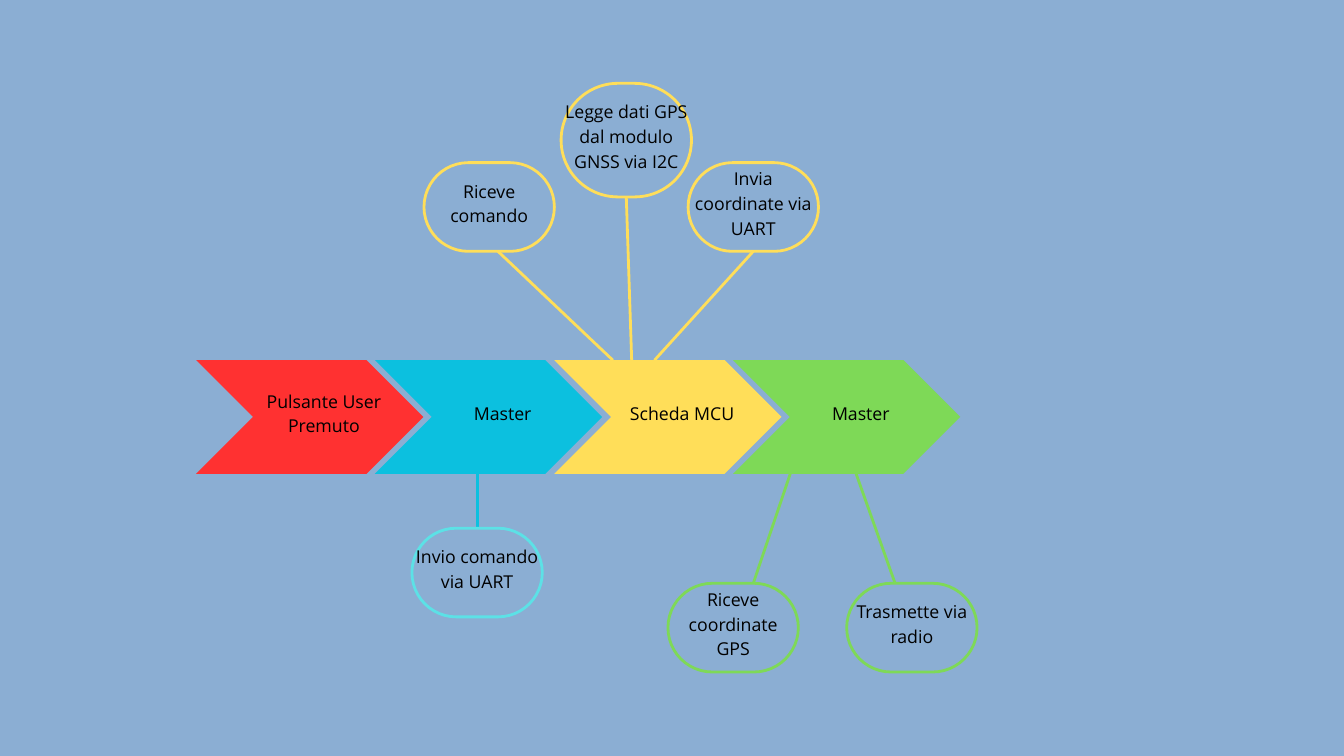
from lxml.etree import SubElement
from pptx import Presentation
from pptx.dml.color import RGBColor
from pptx.enum.shapes import MSO_CONNECTOR, MSO_SHAPE
from pptx.enum.text import MSO_ANCHOR, PP_ALIGN
from pptx.oxml.ns import qn
from pptx.util import Pt

PX = 9144  # 100 px to the inch
RED, CYAN, AQUA, YELLOW, GREEN = "FF3131", "0CC0DF", "5CE1E6", "FFDE59", "7ED957"
color = RGBColor.from_string

presentation = Presentation()
presentation.slide_width = 2000 * PX
presentation.slide_height = 1125 * PX
slide = presentation.slides.add_slide(presentation.slide_layouts[6])
slide.background.fill.solid()
slide.background.fill.fore_color.rgb = color("8BAED3")


def add_label(text, left, top, width, height, size=19, font="Open Sans", ink="000000"):
    box = slide.shapes.add_textbox(left * PX, top * PX, width * PX, height * PX)
    frame = box.text_frame
    frame.word_wrap = True
    frame.vertical_anchor = MSO_ANCHOR.MIDDLE
    frame.margin_left = frame.margin_right = 5 * PX
    frame.margin_top = frame.margin_bottom = 6 * PX
    paragraph = frame.paragraphs[0]
    paragraph.text = text
    paragraph.alignment = PP_ALIGN.CENTER
    paragraph.line_spacing = Pt(26.6)
    paragraph.font.size = Pt(size)
    paragraph.font.name = font
    paragraph.font.color.rgb = color(ink)


# Process steps
STEP_TOP, STEP_HEIGHT = 536, 169
steps = [
    ("Pulsante User Premuto", RED),
    ("Master", CYAN),
    ("Scheda MCU", YELLOW),
    ("Master", GREEN),
]
for index, (text, fill) in enumerate(steps):
    left = 292 + round(266.4 * index)
    chevron = slide.shapes.add_shape(
        MSO_SHAPE.CHEVRON, left * PX, STEP_TOP * PX, 338 * PX, STEP_HEIGHT * PX)
    chevron.shadow.inherit = False
    chevron.fill.solid()
    chevron.fill.fore_color.rgb = color(fill)
    chevron.line.fill.background()
    add_label(text, left + 74, STEP_TOP - 16, 232, STEP_HEIGHT + 16)

# Lines from the steps to their details
links = [
    (710, 705, 710, 786, CYAN),
    (912, 536, 741, 374, YELLOW),
    (940, 536, 932, 293, YELLOW),
    (974, 536, 1121, 374, YELLOW),
    (1176, 705, 1121, 868, GREEN),
    (1274, 705, 1332, 868, GREEN),
]
for x1, y1, x2, y2, stroke in links:
    link = slide.shapes.add_connector(
        MSO_CONNECTOR.STRAIGHT, x1 * PX, y1 * PX, x2 * PX, y2 * PX)
    link.line.color.rgb = color(stroke)
    link.line.width = Pt(3)
    SubElement(link._element.spPr, qn("a:effectLst"))

# Detail bubbles
details = [
    ("Invio comando via UART", 613, 786, 132, AQUA),
    ("Riceve comando", 631, 242, 132, YELLOW),
    ("Legge dati GPS dal modulo GNSS via I2C", 835, 124, 169, YELLOW),
    ("Invia coordinate via UART", 1024, 242, 132, YELLOW),
    ("Riceve coordinate GPS", 994, 868, 132, GREEN),
    ("Trasmette via radio", 1260, 868, 132, GREEN),
]
for text, left, top, height, stroke in details:
    bubble = slide.shapes.add_shape(
        MSO_SHAPE.ROUNDED_RECTANGLE, left * PX, top * PX, 194 * PX, height * PX)
    bubble.adjustments[0] = 0.5
    bubble.shadow.inherit = False
    bubble.fill.background()
    bubble.line.color.rgb = color(stroke)
    bubble.line.width = Pt(3)
    add_label(text, left, top - 16, 194, height + 16)

presentation.save("out.pptx")
